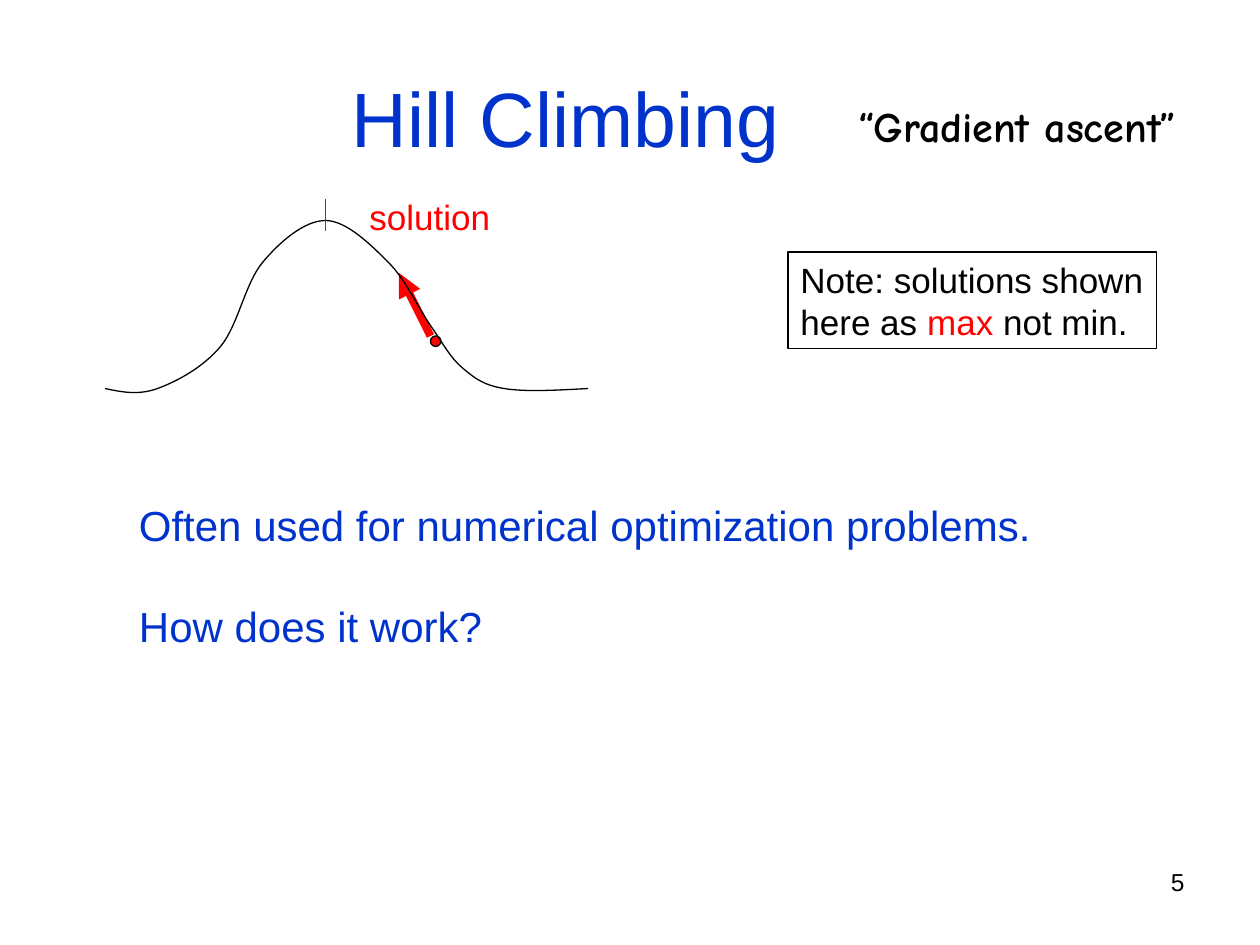
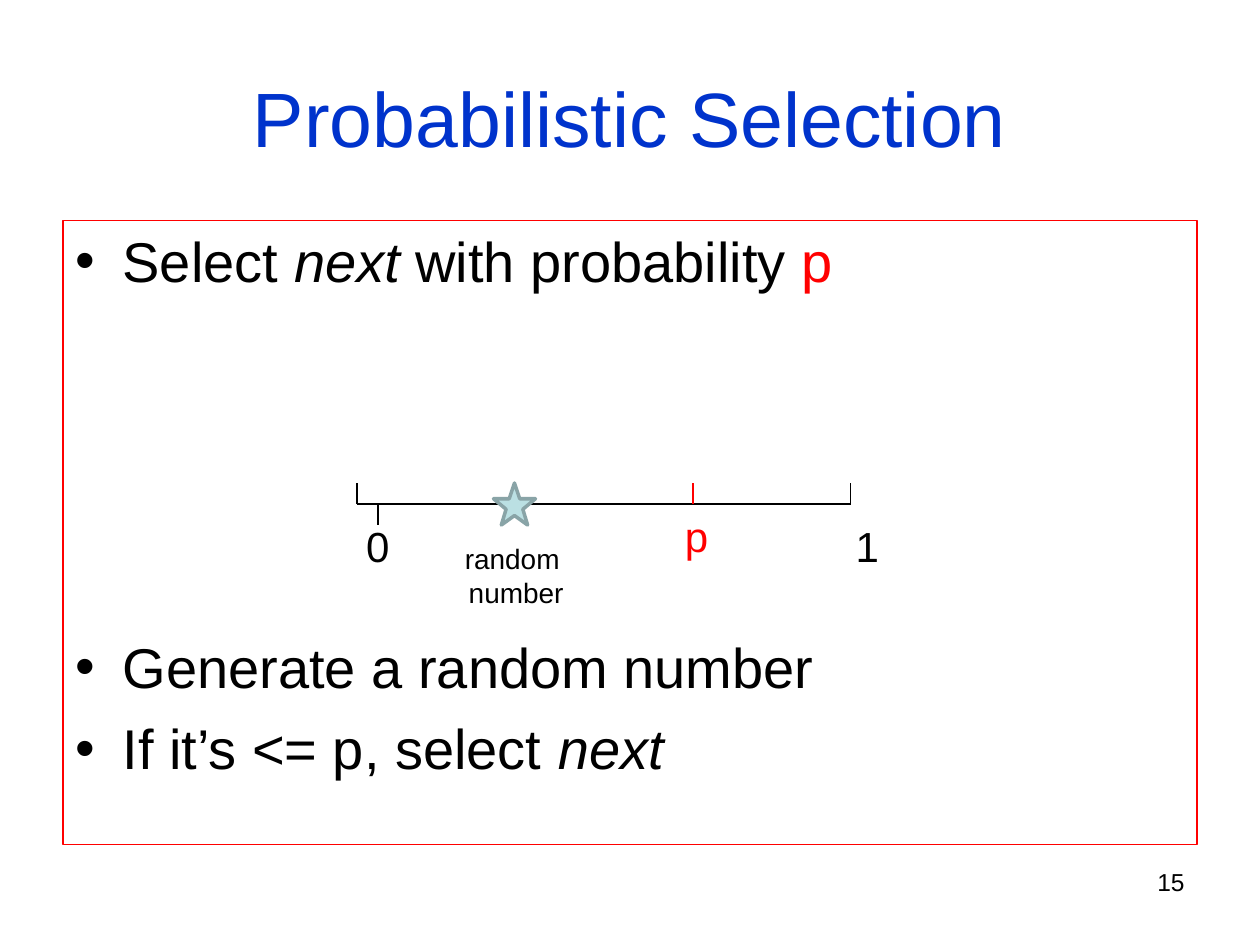
"""Build two slides on local search: hill climbing and probabilistic selection."""
from dataclasses import dataclass

import lxml.etree
import pptx
import pptx.dml.color
import pptx.enum.shapes
import pptx.enum.text
import pptx.oxml.ns
import pptx.util

CELL = pptx.util.Inches(1) / 12
COLUMNS, ROWS = 120, 90
BLUE, RED, BLACK = "0033CC", "FF0000", "000000"
STAR_FILL, STAR_LINE = "BBE0E3", "89A4A7"
SHAPE_TYPE = pptx.enum.shapes.MSO_SHAPE
ALIGN = pptx.enum.text.PP_ALIGN
HILL = [(10, 37), (15, 37), (21, 33), (25, 25), (31, 21),
        (37, 25), (41, 31), (44, 35), (48, 37), (56, 37)]


@dataclass(frozen=True)
class Run:
    """A stretch of text; an empty colour means that of its box."""
    text: str
    color: str = ""
    italic: bool = False


@dataclass(frozen=True)
class Paragraph:
    """Runs on one line, with the space before them in points."""
    runs: tuple[Run, ...]
    space_before: float = 0
    bullet: bool = False


@dataclass(frozen=True)
class Area:
    """A rectangle in grid columns and rows."""
    column: float
    row: float
    columns: float
    rows: float


@dataclass(frozen=True)
class Style:
    """The look of the text in one box."""
    size: float
    color: str = BLACK
    font: str = "Arial"
    bold: bool = False
    align: ALIGN = ALIGN.LEFT
    wrap: bool = False
    middle: bool = False


@dataclass(frozen=True)
class Line:
    """A straight line between two grid points."""
    start: tuple[float, float]
    end: tuple[float, float]
    color: str = BLACK
    width: float = 0.75
    arrow: bool = False


TITLE = Style(44, BLUE, align=ALIGN.CENTER, wrap=True, middle=True)
NUMBER = Style(14, align=ALIGN.RIGHT, wrap=True)


def grid(cells: float) -> int:
    """Turn grid cells into a length."""
    return round(cells * CELL)


def rgb(color: str) -> pptx.dml.color.RGBColor:
    """Turn a hex string into a colour."""
    return pptx.dml.color.RGBColor.from_string(color)


def child(parent, tag: str, **attributes: str):
    """Append a drawing element to its parent."""
    return lxml.etree.SubElement(parent, pptx.oxml.ns.qn(tag), attributes)


def plain(*lines: str, gap: float = 0) -> list[Paragraph]:
    """Make one-run paragraphs with a gap between them."""
    return [Paragraph((Run(line),), gap if index else 0) for index, line in enumerate(lines)]


def paint(shape, fill: str, line: str, width: float = 0.75) -> None:
    """Set fill and line; an empty fill leaves the shape open."""
    shape.shadow.inherit = False
    if fill:
        shape.fill.solid()
        shape.fill.fore_color.rgb = rgb(fill)
    else:
        shape.fill.background()
    shape.line.color.rgb = rgb(line)
    shape.line.width = pptx.util.Pt(width)


def write(shape, paragraphs: list[Paragraph], style: Style) -> None:
    """Fill a shape with paragraphs, run by run."""
    frame = shape.text_frame
    frame.word_wrap = style.wrap
    auto_size = pptx.enum.text.MSO_AUTO_SIZE
    frame.auto_size = auto_size.NONE if style.wrap else auto_size.SHAPE_TO_FIT_TEXT
    anchor = pptx.enum.text.MSO_ANCHOR
    frame.vertical_anchor = anchor.MIDDLE if style.middle else anchor.TOP
    for index, content in enumerate(paragraphs):
        paragraph = frame.add_paragraph() if index else frame.paragraphs[0]
        paragraph.alignment = style.align
        paragraph.space_before = pptx.util.Pt(content.space_before)
        if content.bullet:
            properties = paragraph._p.get_or_add_pPr()
            indent = grid(4.5)
            properties.set("marL", str(indent))
            properties.set("indent", str(-indent))
            child(properties, "a:buFont", typeface=style.font)
            child(properties, "a:buChar", char="•")
        for part in content.runs:
            run = paragraph.add_run()
            run.text = part.text
            run.font.name = style.font
            run.font.size = pptx.util.Pt(style.size)
            run.font.bold = style.bold
            run.font.italic = part.italic
            run.font.color.rgb = rgb(part.color or style.color)


def add_shape(slide, kind: SHAPE_TYPE, area: Area, fill: str, line: str):
    """Add a preset shape on the grid."""
    shape = slide.shapes.add_shape(kind, grid(area.column), grid(area.row),
                                   grid(area.columns), grid(area.rows))
    paint(shape, fill, line)
    return shape


def add_text(slide, area: Area, paragraphs: list[Paragraph], style: Style) -> None:
    """Add a text box on the grid."""
    box = slide.shapes.add_textbox(grid(area.column), grid(area.row),
                                   grid(area.columns), grid(area.rows))
    write(box, paragraphs, style)


def add_line(slide, line: Line) -> None:
    """Add a straight connector, with an arrowhead if asked for."""
    connector = slide.shapes.add_connector(
        pptx.enum.shapes.MSO_CONNECTOR.STRAIGHT, *map(grid, line.start + line.end))
    connector.line.color.rgb = rgb(line.color)
    connector.line.width = pptx.util.Pt(line.width)
    if line.arrow:
        child(connector.line._get_or_add_ln(), "a:tailEnd", type="triangle")
    child(connector._element.spPr, "a:effectLst")


def add_outline(slide, points: list[tuple[float, float]], closed: bool):
    """Add a freeform through grid points."""
    corners = [(grid(x), grid(y)) for x, y in points]
    builder = slide.shapes.build_freeform(*corners[0])
    builder.add_line_segments(corners[1:], close=closed)
    return builder.convert_to_shape()


def smooth(shape) -> None:
    """Turn the straight segments of an open freeform into a flowing curve."""
    tag = pptx.oxml.ns.qn
    knots = [(int(point.get("x")), int(point.get("y")))
             for point in shape._element.iter(tag("a:pt"))]
    inner = [tuple((b - a) / 6 for a, b in zip(before, after))
             for before, after in zip(knots, knots[2:])]
    first = tuple((b - s - a) / 2 for a, b, s in zip(knots[0], knots[1], inner[0]))
    last = tuple((b - a - s) / 2 for a, b, s in zip(knots[-2], knots[-1], inner[-1]))
    slopes = [first, *inner, last]
    for i, segment in enumerate(list(shape._element.iter(tag("a:lnTo")))):
        curve = lxml.etree.Element(tag("a:cubicBezTo"))
        leaving = [k + s for k, s in zip(knots[i], slopes[i])]
        arriving = [k - s for k, s in zip(knots[i + 1], slopes[i + 1])]
        for x, y in (leaving, arriving, knots[i + 1]):
            child(curve, "a:pt", x=str(round(x)), y=str(round(y)))
        segment.getparent().replace(segment, curve)


def add_slide(presentation, title: str, title_columns: float, number: int):
    """Add a blank slide with its title and slide number."""
    slide = presentation.slides.add_slide(presentation.slide_layouts[6])
    add_text(slide, Area(6, 3.6, title_columns, 15), plain(title), TITLE)
    add_text(slide, Area(86, 82, 28, 6.2), plain(str(number)), NUMBER)
    return slide


def build_hill_climbing(presentation) -> None:
    """Build the slide with the hill and its climbing step."""
    slide = add_slide(presentation, "Hill Climbing", 95.8, 5)
    add_text(slide, Area(80.55, 9, 32.8, 6), plain("“Gradient ascent”"),
             Style(24, font="Comic Neue", bold=True))
    add_shape(slide, SHAPE_TYPE.OVAL, Area(41, 32, 1, 1), RED, BLACK)
    add_line(slide, Line((41, 32), (38, 26), RED, 4.5, arrow=True))
    hill = add_outline(slide, HILL, closed=False)
    paint(hill, "", BLACK)
    smooth(hill)
    add_text(slide, Area(34, 18, 13.95, 5.2), plain("solution"), Style(20, RED))
    add_line(slide, Line((31, 19), (31, 22), RED))
    note = add_shape(slide, SHAPE_TYPE.RECTANGLE, Area(75.05, 24, 35.1, 9.2), "", BLACK)
    write(note, [*plain("Note: solutions shown"),
                 Paragraph((Run("here as "), Run("max", RED), Run(" not min.")))], Style(20))
    add_text(slide, Area(12.05, 47, 88, 15.6),
             plain("Often used for numerical optimization problems.",
                   "How does it work?", gap=28.8), Style(24, BLUE))


def build_probabilistic_selection(presentation) -> None:
    """Build the slide with the number line from 0 to 1."""
    slide = add_slide(presentation, "Probabilistic Selection", 108, 15)
    body = add_shape(slide, SHAPE_TYPE.RECTANGLE, Area(6, 21, 108, 59.4), "", RED)
    write(body, [
        Paragraph((Run("Select "), Run("next", italic=True),
                   Run(" with probability "), Run("p", RED)), bullet=True),
        Paragraph((Run("Generate a random number"),), 193.6, bullet=True),
        Paragraph((Run("If it’s <= p, select "), Run("next", italic=True)), 8, bullet=True),
    ], Style(32, wrap=True))
    add_line(slide, Line((34, 48), (81, 48)))
    for column, end_row, color in ((34, 46, BLACK), (81, 46, BLACK),
                                   (66, 46, RED), (36, 50, BLACK)):
        add_line(slide, Line((column, 48), (column, end_row), color))
    for label, column, row, color in (("0", 33.7, 49, BLACK), ("1", 80.3, 49, BLACK),
                                      ("p", 64.05, 48, RED)):
        add_text(slide, Area(column, row, 4.6, 6), plain(label), Style(24, color))
    star = add_outline(slide, [(47, 47.5), (48.5, 47.5), (49, 46), (49.5, 47.5), (51, 47.5),
                               (49.8, 48.5), (50.25, 50), (49, 49.1), (47.75, 50),
                               (48.2, 48.5)], closed=True)
    paint(star, STAR_FILL, STAR_LINE, 2)
    add_text(slide, Area(42.65, 51, 13, 7.7), plain("random ", "number"),
             Style(16, align=ALIGN.CENTER))


def main() -> None:
    """Build and save the presentation."""
    presentation = pptx.Presentation()
    presentation.slide_width = grid(COLUMNS)
    presentation.slide_height = grid(ROWS)
    build_hill_climbing(presentation)
    build_probabilistic_selection(presentation)
    presentation.save("out.pptx")


if __name__ == "__main__":
    main()
